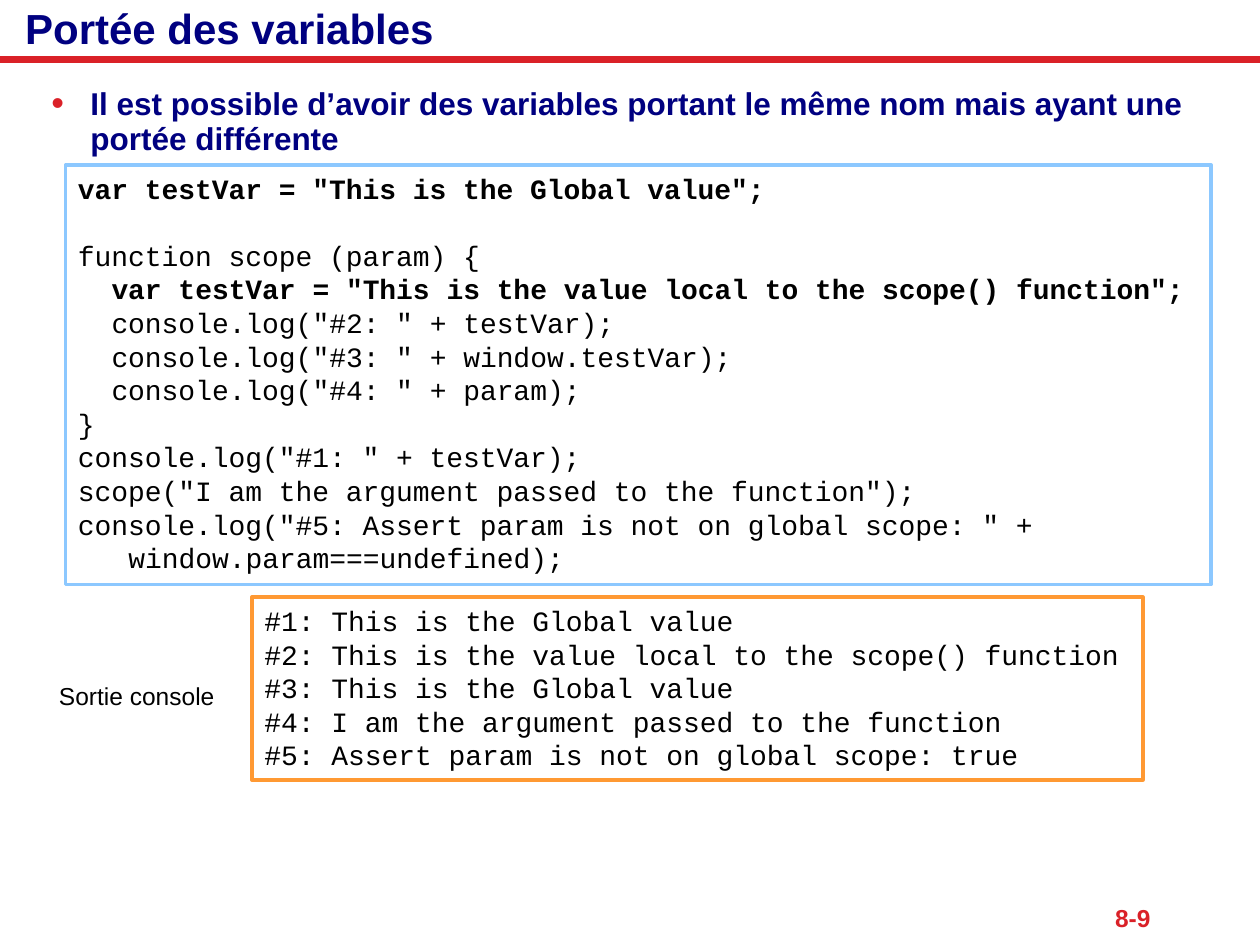
from dataclasses import dataclass

from lxml import etree
from pptx import Presentation
from pptx.dml.color import RGBColor
from pptx.enum.shapes import MSO_CONNECTOR, MSO_SHAPE
from pptx.enum.text import MSO_ANCHOR, PP_ALIGN
from pptx.oxml.ns import qn
from pptx.util import Inches, Pt

STRAIGHT = MSO_CONNECTOR.STRAIGHT
RECTANGLE = MSO_SHAPE.RECTANGLE
TOP, MIDDLE = MSO_ANCHOR.TOP, MSO_ANCHOR.MIDDLE
LEFT, RIGHT = PP_ALIGN.LEFT, PP_ALIGN.RIGHT


@dataclass(frozen=True)
class Theme:
    navy: str = "000080"
    red: str = "DA2128"
    black: str = "000000"
    blue: str = "8CC8FF"
    orange: str = "FF9933"
    text_font: str = "Arial"
    code_font: str = "Courier New"
    title_size: int = 24
    body_size: int = 18
    code_size: int = 16
    label_size: int = 14
    code_line: float = 19.2
    code_char: float = 9.6


class SlideBuilder:
    def __init__(self, slide, theme):
        self.slide = slide
        self.theme = theme

    def add_span(self, para, text, size, color, bold=False, font=None):
        span = para.add_run()
        span.text = text
        formats = {"name": font or self.theme.text_font, "size": Pt(size), "bold": bold}
        for name, value in formats.items():
            setattr(span.font, name, value)
        span.font.color.rgb = RGBColor.from_string(color)

    def frame(self, box, wrap=True, anchor=TOP, margins=(0.1, 0.05, 0.1, 0.05)):
        left, top, right, bottom = map(Inches, margins)
        formats = {
            "word_wrap": wrap, "vertical_anchor": anchor,
            "margin_left": left, "margin_top": top,
            "margin_right": right, "margin_bottom": bottom,
        }
        for name, value in formats.items():
            setattr(box.text_frame, name, value)
        return box.text_frame

    def text(self, place, text, size, color, bold=False, align=LEFT, **layout):
        box = self.slide.shapes.add_textbox(*map(Inches, place))
        para = self.frame(box, **layout).paragraphs[0]
        para.alignment = align
        self.add_span(para, text, size, color, bold)
        return para

    def bullet(self, place, text, size, color, bullet_color):
        para = self.text(place, text, size, color, bold=True)
        para.line_spacing = Pt(20)
        props = para._p.get_or_add_pPr()
        props.set("marL", str(Inches(0.31)))
        props.set("indent", str(-Inches(0.31)))
        tint = etree.SubElement(props, qn("a:buClr"))
        etree.SubElement(tint, qn("a:srgbClr"), val=bullet_color)
        etree.SubElement(props, qn("a:buSzPct"), val="115000")
        etree.SubElement(props, qn("a:buFont"), typeface=self.theme.text_font)
        etree.SubElement(props, qn("a:buChar"), char="•")

    def rule(self, start, end, color, width):
        line = self.slide.shapes.add_connector(STRAIGHT, *map(Inches, start + end))
        line.line.color.rgb = RGBColor.from_string(color)
        line.line.width = Pt(width)
        etree.SubElement(line._element.spPr, qn("a:effectLst"))

    def code(self, place, lines, border):
        """Each line is (text, indent in characters, bold, blank lines above)."""
        theme = self.theme
        box = self.slide.shapes.add_shape(RECTANGLE, *map(Inches, place))
        box.shadow.inherit = False
        box.fill.background()
        box.line.color.rgb = RGBColor.from_string(border)
        box.line.width = Pt(2.25)
        frame = self.frame(box, wrap=False)
        for number, (text, indent, bold, gap) in enumerate(lines):
            para = frame.add_paragraph() if number else frame.paragraphs[0]
            para.alignment = LEFT
            para.space_before = Pt(gap * theme.code_line)
            para._p.get_or_add_pPr().set("marL", str(Pt(indent * theme.code_char)))
            self.add_span(para, text, theme.code_size, theme.black, bold, theme.code_font)


SCRIPT_LINES = [
    ('var testVar = "This is the Global value";', 0, True, 0),
    ("function scope (param) {", 0, False, 1),
    ('var testVar = "This is the value local to the scope() function";', 2, True, 0),
    ('console.log("#2: " + testVar);', 2, False, 0),
    ('console.log("#3: " + window.testVar);', 2, False, 0),
    ('console.log("#4: " + param);', 2, False, 0),
    ("}", 0, False, 0),
    ('console.log("#1: " + testVar);', 0, False, 0),
    ('scope("I am the argument passed to the function");', 0, False, 0),
    ('console.log("#5: Assert param is not on global scope: " +', 0, False, 0),
    ("window.param===undefined);", 3, False, 0),
]

CONSOLE_LINES = [
    "This is the Global value",
    "This is the value local to the scope() function",
    "This is the Global value",
    "I am the argument passed to the function",
    "Assert param is not on global scope: true",
]


def main():
    deck = Presentation()
    deck.slide_width, deck.slide_height = Inches(10), Inches(7.5)
    theme = Theme()
    page = SlideBuilder(deck.slides.add_slide(deck.slide_layouts[6]), theme)

    # Page number and header rule
    page.text((7.85, 7.11, 1.38, 0.34), "8-9", theme.label_size, theme.red, bold=True,
              align=RIGHT, anchor=MIDDLE, margins=(0, 0.05, 0.1, 0.05))
    page.rule((0, 0.47), (10, 0.47), theme.red, 4)

    # Main point and title
    page.bullet((0.31, 0.64, 9.4, 0.66),
                "Il est possible d’avoir des variables portant le même nom "
                "mais ayant une portée différente",
                theme.body_size, theme.navy, theme.red)
    page.text((0, 0, 10, 0.44), "Portée des variables", theme.title_size, theme.navy,
              bold=True, anchor=MIDDLE, margins=(0.2, 0, 0.1, 0))

    # Code sample and its console output
    page.code((0.52, 1.31, 9.09, 3.33), SCRIPT_LINES, theme.blue)
    output = [(f"#{number}: {text}", 0, False, 0)
              for number, text in enumerate(CONSOLE_LINES, 1)]
    page.code((2, 4.74, 7.07, 1.45), output, theme.orange)
    page.text((0.37, 5.36, 1.44, 0.34), "Sortie console", theme.label_size,
              theme.black, wrap=False)

    deck.save("out.pptx")


if __name__ == "__main__":
    main()
